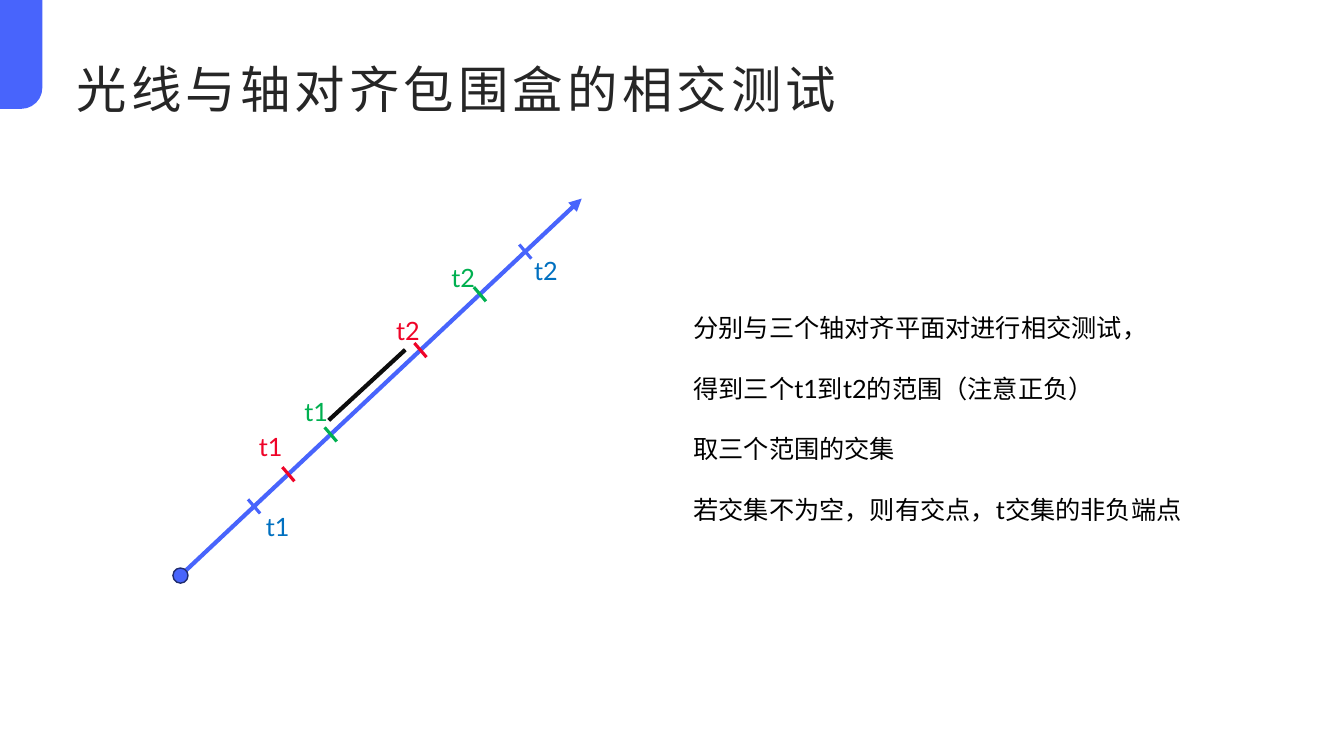
from collections import namedtuple

from lxml import etree
from pptx import Presentation
from pptx.dml.color import RGBColor
from pptx.enum import shapes, text
from pptx.oxml import ns
from pptx.util import Inches, Pt

BLUE = RGBColor(0x48, 0x64, 0xFC)
NAVY = RGBColor(0x20, 0x2C, 0x6E)
LABEL_BLUE = RGBColor(0x00, 0x70, 0xC0)
GREEN = RGBColor(0x00, 0xB0, 0x50)
RED = RGBColor(0xEF, 0x04, 0x28)
TITLE_GRAY = RGBColor(0x26, 0x26, 0x26)
OVERLAP_BLACK = RGBColor(0x0D, 0x0D, 0x0D)
BLACK = RGBColor(0x00, 0x00, 0x00)

Box = namedtuple("Box", "left top width height")

# Ray hits: distance along x, tick colour
HITS = [(0.73, BLUE), (3.42, BLUE), (2.97, GREEN),
        (1.49, GREEN), (1.07, RED), (2.38, RED)]
# Hit labels: offset in the diagram, wording, colour
LABELS = [(1.13, 1.91, "t1", GREEN), (2.59, 0.58, "t2", GREEN),
          (0.68, 2.26, "t1", RED), (0.75, 3.05, "t1", LABEL_BLUE),
          (3.41, 0.51, "t2", LABEL_BLUE), (2.04, 1.11, "t2", RED)]
STEPS = ["分别与三个轴对齐平面对进行相交测试，",
         "得到三个t1到t2的范围（注意正负）",
         "取三个范围的交集",
         "若交集不为空，则有交点，t交集的非负端点"]


def place(box):
    return [Inches(length) for length in box]


def set_font(para, name, size, color):
    para.font.name = name
    para.font.size = Pt(size)
    para.font.color.rgb = color


def add_line(page, start, end, color, width):
    line = page.shapes.add_connector(
        shapes.MSO_CONNECTOR.STRAIGHT, *place(start + end))
    line.line.color.rgb = color
    line.line.width = Pt(width)
    etree.SubElement(line._element.spPr, ns.qn("a:effectLst"))
    return line


def add_text(page, box, lines, color, wrap, spacing=None):
    frame = page.shapes.add_textbox(*place(box)).text_frame
    frame.word_wrap = wrap
    frame.auto_size = text.MSO_AUTO_SIZE.SHAPE_TO_FIT_TEXT
    frame.text = "\n".join(lines)
    for para in frame.paragraphs:
        para.line_spacing = spacing
        set_font(para, "Lato", 18, color)


def add_corner_tab(page, box):
    # The preset rounds its top right corner, so a quarter turn moves it down
    left = box.left + (box.width - box.height) / 2
    top = box.top + (box.height - box.width) / 2
    tab = page.shapes.add_shape(
        shapes.MSO_SHAPE.ROUND_1_RECTANGLE,
        *place((left, top, box.height, box.width)))
    tab.rotation = 90
    tab.adjustments[0] = 0.5
    tab.shadow.inherit = False
    tab.fill.solid()
    tab.fill.fore_color.rgb = BLUE
    tab.line.fill.background()


def add_title(page, box, wording):
    title = page.shapes.title
    title.left, title.top, title.width, title.height = place(box)
    frame = title.text_frame
    frame.margin_left = frame.margin_right = 0
    frame.margin_top = frame.margin_bottom = 0
    frame.vertical_anchor = text.MSO_ANCHOR.BOTTOM
    frame.text = wording
    para = frame.paragraphs[0]
    para.alignment = text.PP_ALIGN.LEFT
    set_font(para, "Noto Sans", 36, TITLE_GRAY)
    # Letter spacing of 3 points
    para._p.pPr.find(ns.qn("a:defRPr")).set("spc", "300")


def add_ray_diagram(page, box):
    def at(x, y):
        return box.left + x, box.top + y

    # Ray from its origin to the top right
    ray = add_line(page, at(0, box.height), at(box.width, 0), BLUE, 3)
    etree.SubElement(ray.line._get_or_add_ln(), ns.qn("a:tailEnd"),
                     type="triangle")

    # Ray origin
    size = 0.15
    origin = page.shapes.add_shape(
        shapes.MSO_SHAPE.OVAL,
        *place(at(-size / 2, box.height - size / 2) + (size, size)))
    origin.shadow.inherit = False
    origin.fill.solid()
    origin.fill.fore_color.rgb = BLUE
    origin.line.color.rgb = NAVY
    origin.line.width = Pt(1)

    # Labels
    for x, y, wording, color in LABELS:
        add_text(page, at(x, y) + (0.44, 0.4), [wording], color, False)

    # Ticks centred on the ray
    for x, color in HITS:
        y = box.height * (1 - x / box.width)
        add_line(page, at(x - 0.06, y - 0.07), at(x + 0.06, y + 0.07),
                 color, 2.25)

    # Range shared by all three pairs
    add_line(page, at(2.23, 1.5), at(1.47, 2.2), OVERLAP_BLACK, 3)


def add_steps(page, box):
    add_text(page, box, STEPS, BLACK, True, 2.0)


def main():
    deck = Presentation()
    deck.slide_width, deck.slide_height = Inches(13.33), Inches(7.5)
    page = deck.slides.add_slide(deck.slide_layouts.get_by_name("Title Only"))
    add_corner_tab(page, Box(0, 0, 0.42, 1.08))
    add_title(page, Box(0.76, 0.39, 11.81, 0.79), "光线与轴对齐包围盒的相交测试")
    add_ray_diagram(page, Box(1.79, 1.97, 3.98, 3.74))
    add_steps(page, Box(6.78, 2.75, 5.09, 2.43))
    deck.save("out.pptx")


if __name__ == "__main__":
    main()
